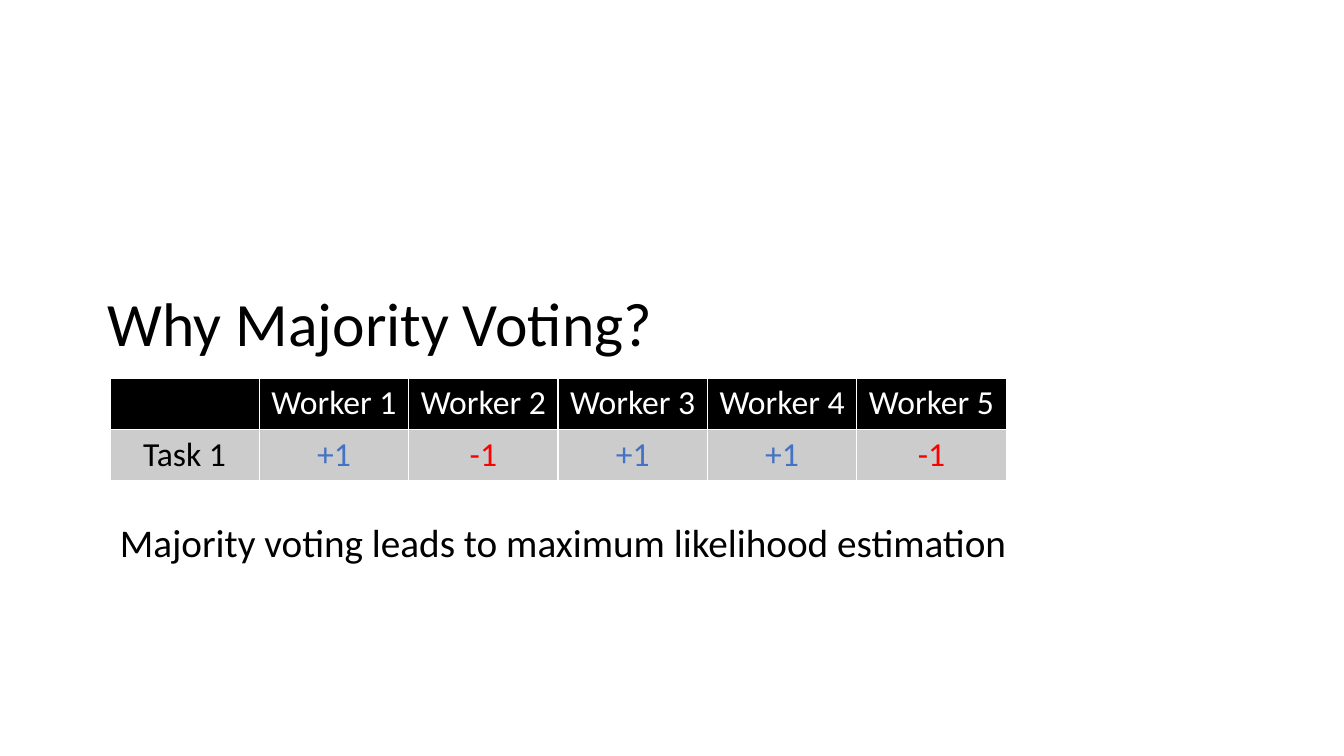
from lxml.etree import SubElement
from pptx import Presentation
from pptx.dml.color import RGBColor
from pptx.enum.text import MSO_ANCHOR, MSO_AUTO_SIZE, PP_ALIGN
from pptx.oxml.ns import qn
from pptx.util import Inches, Pt

TITLE = "Why Majority Voting?"
CONCLUSION = "Majority voting leads to maximum likelihood estimation"
VOTES = ["+1", "-1", "+1", "+1", "-1"]
HEADER = [""] + [f"Worker {number}" for number in range(1, len(VOTES) + 1)]
ROWS = [HEADER, ["Task 1"] + VOTES]
COLORS = {
    "text": "000000",
    "header": "000000",
    "header_text": "FFFFFF",
    "body": "CCCCCC",
    "border": "FFFFFF",
    "+1": "4472C4",
    "-1": "FF0000",
}
FONT = "Calibri"
TABLE_LEFT, TABLE_TOP = 1.09, 3.75
TABLE_WIDTH, ROW_HEIGHT = 8.89, 0.5


def add_text(paragraph, text, size, color):
    run = paragraph.add_run()
    run.text = text
    run.font.name = FONT
    run.font.size = Pt(size)
    run.font.color.rgb = RGBColor.from_string(COLORS[color])


def style_cell(cell, fill):
    properties = cell._tc.get_or_add_tcPr()
    for side in ("a:lnL", "a:lnR", "a:lnT", "a:lnB"):
        line = SubElement(properties, qn(side), w=str(Pt(1)))
        solid = SubElement(line, qn("a:solidFill"))
        SubElement(solid, qn("a:srgbClr"), val=COLORS["border"])
    cell.fill.solid()
    cell.fill.fore_color.rgb = RGBColor.from_string(COLORS[fill])


def add_title(slide):
    title = slide.shapes.title
    title.left, title.top = Inches(0.97), Inches(2.38)
    title.width, title.height = Inches(11.5), Inches(1.24)
    title.text_frame.vertical_anchor = MSO_ANCHOR.BOTTOM
    paragraph = title.text_frame.paragraphs[0]
    paragraph.alignment = PP_ALIGN.LEFT
    paragraph.line_spacing = 0.9
    add_text(paragraph, TITLE, 44, "text")


def add_votes(slide):
    table = slide.shapes.add_table(
        len(ROWS), len(HEADER), Inches(TABLE_LEFT), Inches(TABLE_TOP),
        Inches(TABLE_WIDTH), Inches(ROW_HEIGHT * len(ROWS))).table
    for row_index, row in enumerate(ROWS):
        is_header = row_index == 0
        for column_index, text in enumerate(row):
            cell = table.cell(row_index, column_index)
            style_cell(cell, "header" if is_header else "body")
            paragraph = cell.text_frame.paragraphs[0]
            paragraph.alignment = PP_ALIGN.CENTER
            if text:
                color = "header_text" if is_header else text if text in VOTES else "text"
                add_text(paragraph, text, 24, color)


def add_conclusion(slide):
    box = slide.shapes.add_textbox(Inches(1.09), Inches(5.09), Inches(9.09), Inches(0.57))
    box.text_frame.word_wrap = False
    box.text_frame.auto_size = MSO_AUTO_SIZE.SHAPE_TO_FIT_TEXT
    add_text(box.text_frame.paragraphs[0], CONCLUSION, 28, "text")


def main():
    presentation = Presentation()
    presentation.slide_width, presentation.slide_height = Inches(13.33), Inches(7.5)
    slide = presentation.slides.add_slide(presentation.slide_layouts[5])
    add_title(slide)
    add_votes(slide)
    add_conclusion(slide)
    presentation.save("out.pptx")


if __name__ == "__main__":
    main()
